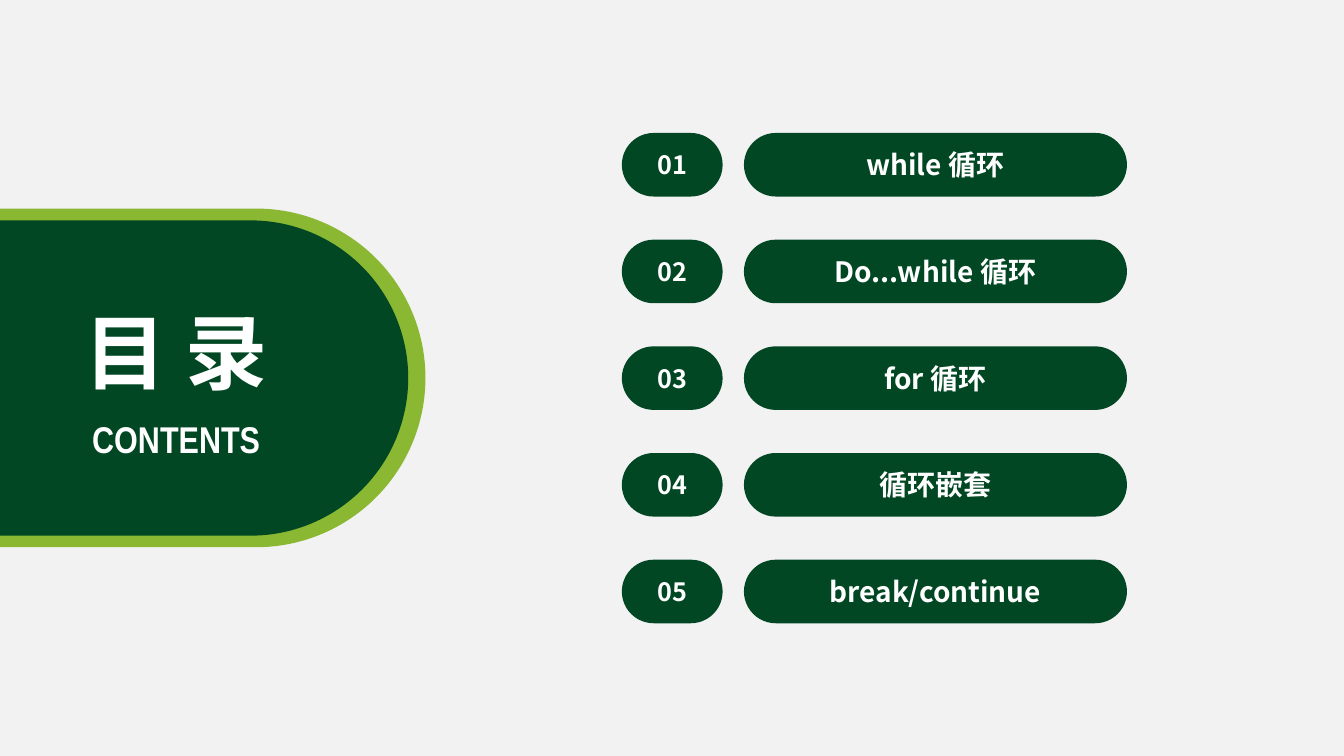
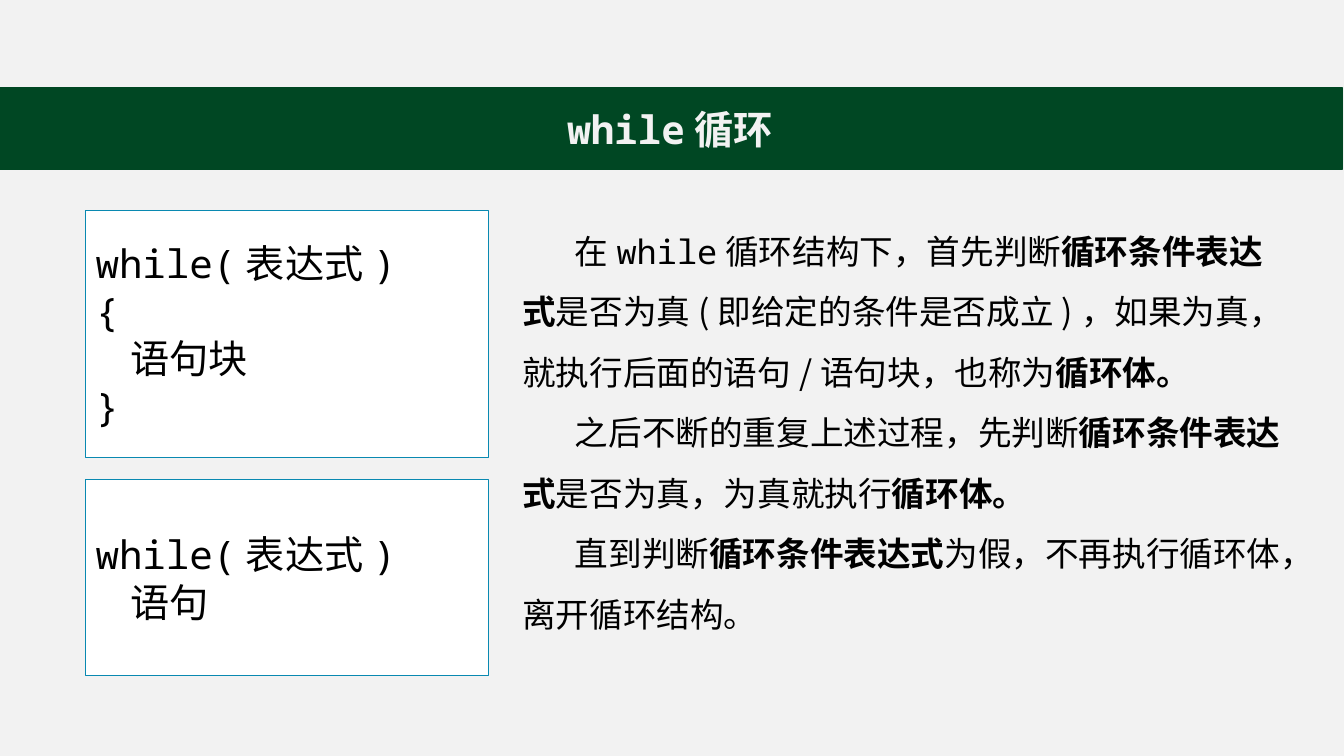
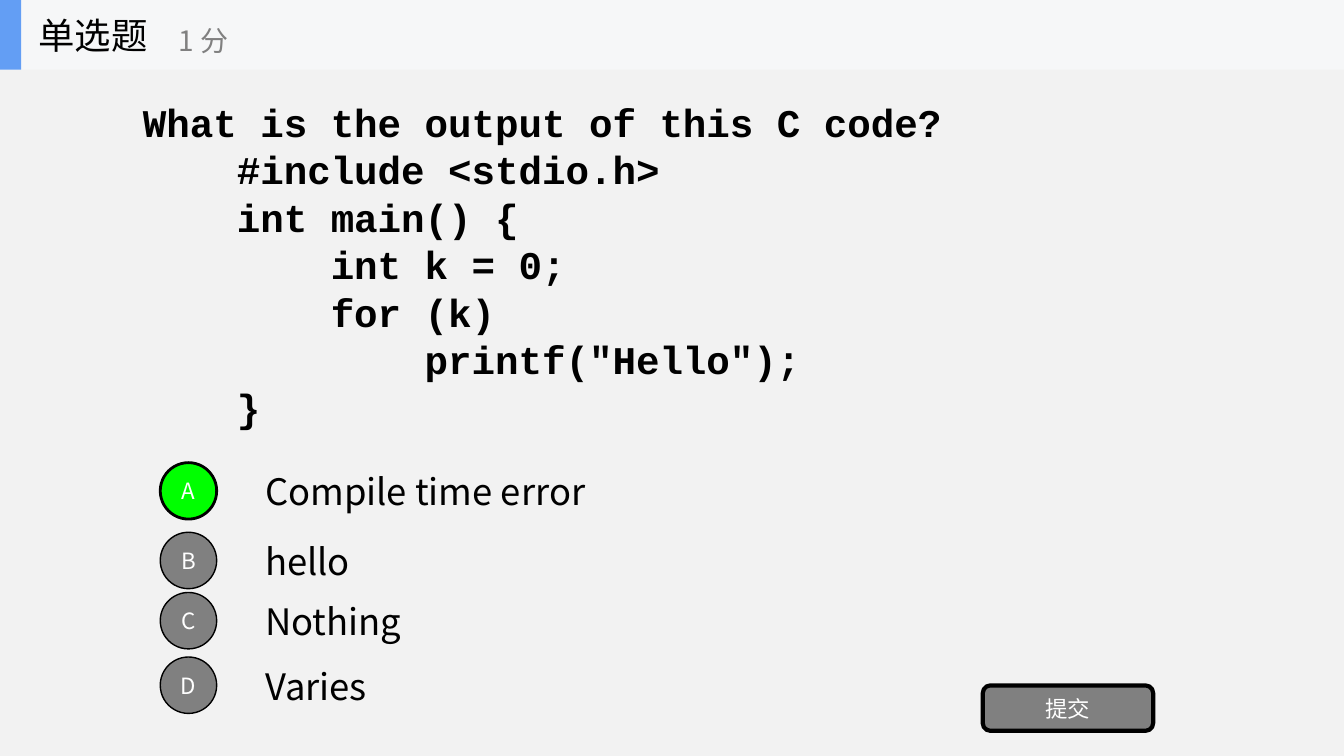
"""Builds three slides of a lesson on loops: contents, the while loop and a quiz question."""
from dataclasses import dataclass

from pptx import Presentation
from pptx.dml.color import RGBColor
from pptx.enum.shapes import MSO_SHAPE as Shape
from pptx.enum.text import MSO_ANCHOR as Anchor, PP_ALIGN as Align
from pptx.oxml.ns import qn
from pptx.util import Pt


@dataclass(frozen=True)
class Theme:
    page: str = "F2F2F2"
    green: str = "014723"
    band: str = "004723"
    lime: str = "8AB833"
    frame: str = "0989B1"
    white: str = "FFFFFF"
    black: str = "000000"
    grey: str = "808080"
    right: str = "00FF00"
    bar: str = "F6F7F8"
    accent: str = "639EF4"
    sans: str = "Noto Sans CJK SC"
    mono: str = "Noto Sans Mono"
    narrow: str = "Arial Narrow"
    courier: str = "Courier New"
    display: float = 58.6
    subtitle: float = 26.6
    code: float = 28
    option: float = 26
    body: float = 24
    label: float = 20
    number: float = 18
    button: float = 16
    code_pitch: float = 33.9
    body_pitch: float = 43.2


T = Theme()
WIDTH, HEIGHT = 960, 540

CHAPTERS = ["while循环", "Do...while循环", "for循环", "循环嵌套", "break/continue"]

WHILE_TITLE = [("while", T.mono), ("循环", T.sans)]
WHILE_FORMS = [
    (150.5, 176.4, ["while(表达式)", "{", "    语句块", "}"]),
    (342.7, 139.7, ["while(表达式)", "    语句"]),
]
WHILE_STEPS = [
    [("在", ""), ("while", "mono"), ("循环结构下，首先判断", ""), ("循环条件表达式", "bold"),
     ("是否为真(即给定的条件是否成立)，如果为真，就执行后面的语句/语句块，也称为", ""),
     ("循环体。", "bold")],
    [("之后不断的重复上述过程，先判断", ""), ("循环条件表达式", "bold"),
     ("是否为真，为真就执行", ""), ("循环体。", "bold")],
    [("直到判断", ""), ("循环条件表达式", "bold"),
     ("为假，不再执行循环体，离开循环结构。", "")],
]

QUESTION = [
    "What is the output of this C code?",
    "    #include <stdio.h>",
    "    int main() {",
    "        int k = 0;",
    "        for (k)",
    '            printf("Hello");',
    "    }",
]
OPTIONS = [
    ("A", "Compile time error", 330.5),
    ("B", "hello", 380.2),
    ("C", "Nothing", 423.2),
    ("D", "Varies", 469.3),
]
ANSWER = "A"


def rgb(colour):
    return RGBColor.from_string(colour)


def style(run, size, colour, font=T.sans, bold=False):
    run.font.size = Pt(size)
    run.font.bold = bold
    run.font.color.rgb = rgb(colour)
    run.font.name = font
    east_asian = run.font._element.makeelement(qn("a:ea"), {"typeface": T.sans})
    run.font._element.find(qn("a:latin")).addnext(east_asian)


def write(item, lines, size, colour, font=T.sans, bold=False, align=Align.LEFT, pitch=None):
    frame = item.text_frame
    frame.text = "\n".join(lines)
    frame.vertical_anchor = Anchor.MIDDLE
    for paragraph in frame.paragraphs:
        paragraph.alignment = align
        if pitch:
            paragraph.line_spacing = Pt(pitch)
        for run in paragraph.runs:
            style(run, size, colour, font, bold)


def block(slide, kind, box, fill, line=None, weight=1, round_end=False):
    item = slide.shapes.add_shape(kind, *map(Pt, box))
    item.shadow.inherit = False
    item.fill.solid()
    item.fill.fore_color.rgb = rgb(fill)
    if line:
        item.line.color.rgb = rgb(line)
        item.line.width = Pt(weight)
    else:
        item.line.fill.background()
    if round_end:
        item.adjustments[0] = 0.5
    return item


def text_box(slide, box, wrap=True):
    item = slide.shapes.add_textbox(*map(Pt, box))
    item.text_frame.word_wrap = wrap
    return item


def no_insets(item):
    frame = item.text_frame
    frame.margin_left = frame.margin_right = frame.margin_top = frame.margin_bottom = 0


def contents_slide(slide):
    for box, fill in [((-141.1, 149, 445, 241.9), T.lime), ((-122.4, 157.4, 414, 225.2), T.green)]:
        block(slide, Shape.ROUNDED_RECTANGLE, box, fill, round_end=True)
    for index, chapter in enumerate(CHAPTERS):
        top = 95 + 76.2 * index
        for left, width, text, size in [(444.2, 72, f"{index + 1:02}", T.number),
                                        (531.4, 273.6, chapter, T.label)]:
            pill = block(slide, Shape.ROUNDED_RECTANGLE, (left, top, width, 45.4), T.green, round_end=True)
            write(pill, [text], size, T.white, bold=True, align=Align.CENTER)
    for box, text, size, font in [((44.6, 293.8, 162.7, 39.6), "CONTENTS", T.subtitle, T.narrow),
                                  ((50.4, 211, 150.5, 78.5), "目 录", T.display, T.sans)]:
        write(text_box(slide, box, wrap=False), [text], size, T.white, font, True, Align.CENTER)


def while_slide(slide):
    block(slide, Shape.RECTANGLE, (0, 0, WIDTH, 62.6), T.page)
    band = block(slide, Shape.RECTANGLE, (-1.4, 62.6, WIDTH, 58.3), T.band, T.band)
    band.text_frame.vertical_anchor = Anchor.MIDDLE
    title = band.text_frame.paragraphs[0]
    title.alignment = Align.CENTER
    for text, font in WHILE_TITLE:
        run = title.add_run()
        run.text = text
        style(run, T.code, T.page, font, True)

    steps = text_box(slide, (373, 150.5, 550, 305.3))
    no_insets(steps)
    for index, parts in enumerate(WHILE_STEPS):
        frame = steps.text_frame
        paragraph = frame.add_paragraph() if index else frame.paragraphs[0]
        paragraph.line_spacing = Pt(T.body_pitch)
        paragraph._p.get_or_add_pPr().set("indent", str(Pt(37.6)))
        for text, kind in parts:
            run = paragraph.add_run()
            run.text = text
            style(run, T.body, T.black, T.mono if kind == "mono" else T.sans, kind == "bold")

    for top, height, lines in WHILE_FORMS:
        form = block(slide, Shape.RECTANGLE, (61.2, top, 288, height), T.white, T.frame)
        write(form, lines, T.code, T.black, T.mono, pitch=T.code_pitch)


def quiz_slide(slide):
    question = text_box(slide, (95, 66.2, 714.2, 244.8))
    write(question, QUESTION, T.code, T.black, T.courier, True, pitch=T.code_pitch)

    for letter, text, top in OPTIONS:
        write(text_box(slide, (182.2, top + 1.2, 300, 38.2)), [text], T.option, T.black)
        chosen = letter == ANSWER
        circle = block(slide, Shape.OVAL, (114.5, top, 40.3, 40.3),
                       T.right if chosen else T.grey, T.black, 2 if chosen else 1)
        no_insets(circle)
        write(circle, [letter], T.button, T.white, align=Align.CENTER)

    submit = block(slide, Shape.ROUNDED_RECTANGLE, (702, 489.6, 121.7, 32.4), T.grey, T.black, 3)
    write(submit, ["提交"], T.button, T.white, align=Align.CENTER)

    for width, fill in [(WIDTH, T.bar), (15.1, T.accent)]:
        block(slide, Shape.RECTANGLE, (0, 0, width, 49.7), fill)
    write(text_box(slide, (20.2, 0, 149.8, 49.7)), ["单选题"], T.option, T.black)
    write(text_box(slide, (120.2, 8.6, 180, 40.3)), ["1分"], T.label, T.grey)


def main():
    deck = Presentation()
    deck.slide_width, deck.slide_height = Pt(WIDTH), Pt(HEIGHT)
    backdrop = deck.slide_master.background.fill
    backdrop.solid()
    backdrop.fore_color.rgb = rgb(T.page)
    for build in (contents_slide, while_slide, quiz_slide):
        build(deck.slides.add_slide(deck.slide_layouts[6]))
    deck.save("out.pptx")


if __name__ == "__main__":
    main()
